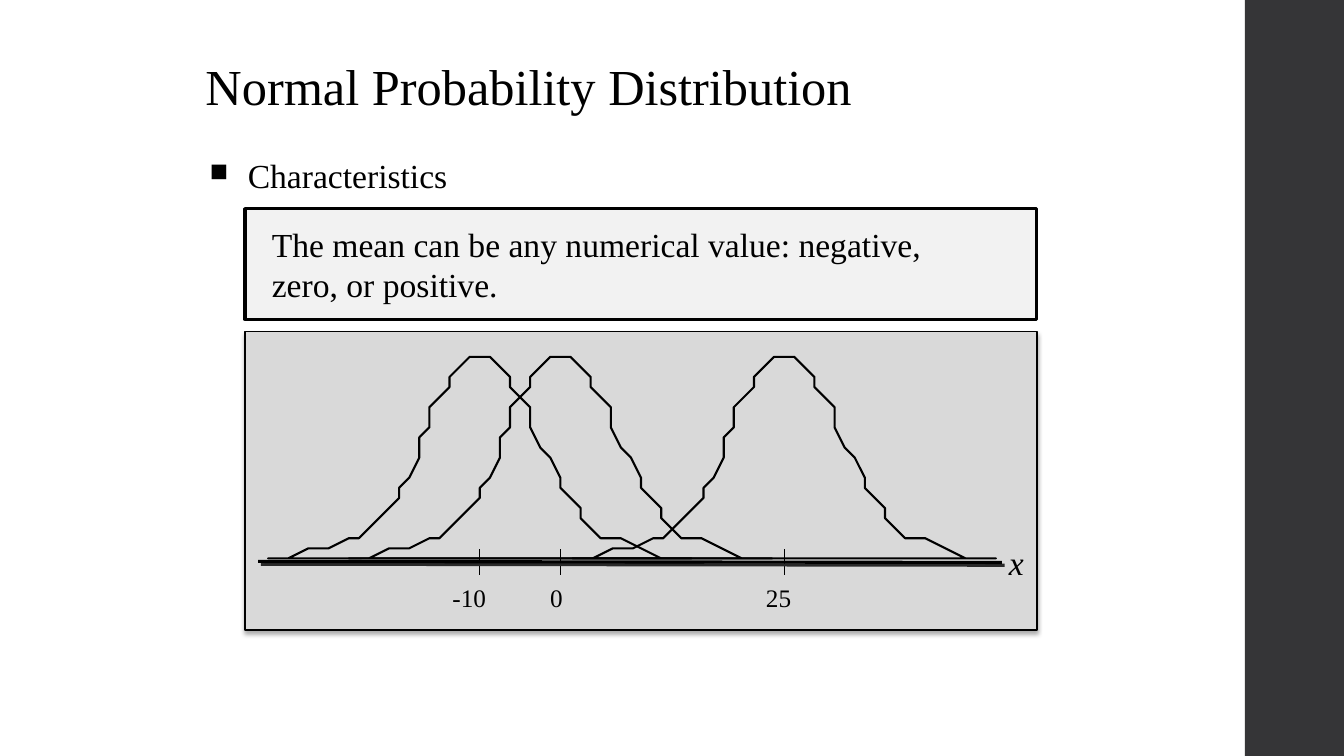
import pptx
import pptx.util
import pptx.dml.color
import pptx.enum.shapes
import pptx.enum.text
import pptx.oxml
import pptx.oxml.ns
from lxml import etree

CELL = pptx.util.Inches(0.1)
COLUMNS, ROWS = 133.33, 75
FONT = "Times New Roman"
BLACK = "000000"

BELL = [
    (0, 0), (-0.8, 0.1), (-1.3, 0.5), (-2.1, 1.2), (-2.7, 1.9), (-3.4, 3.1),
    (-4.1, 4.2), (-4.6, 5.2), (-5.3, 6.9), (-6, 8.3), (-6.5, 9.9), (-7.1, 11.5),
    (-7.8, 13), (-8.3, 14.1), (-8.8, 14.6), (-9.4, 15.4), (-10.2, 16.2),
    (-11.2, 17), (-12, 17.5), (-13.2, 18.1), (-14.6, 18.6), (-16, 19),
    (-17.4, 19.4), (-19, 19.7), (-20.6, 20), (-21, 20.3), (20.6, 20.3),
    (20.3, 20.1), (19.2, 19.8), (17.5, 19.5), (15.6, 19), (13.9, 18.4),
    (12.4, 17.7), (11.4, 17.1), (10.5, 16.3), (9.5, 15.1), (8.7, 14),
    (8.2, 13), (7.6, 11.7), (7, 10.4), (6.2, 8.6), (5.4, 6.9), (4.6, 5.2),
    (3.9, 3.9), (3.2, 2.6), (2.6, 1.8), (2, 1.1), (1.4, 0.5), (0.8, 0.2),
]


def cells(*counts):
    return [round(count * CELL) for count in counts]


def color(value):
    return pptx.dml.color.RGBColor.from_string(value)


def apply(target, formats):
    for name, value in formats.items():
        setattr(target, name, value)


def outline(shape, width):
    shape.line.color.rgb = color(BLACK)
    shape.line.width = pptx.util.Pt(width)


def add_shadow(shape, hue, alpha, blur, distance, angle):
    properties = shape._element.spPr
    for old in properties.findall(pptx.oxml.ns.qn("a:effectLst")):
        properties.remove(old)
    effects = etree.SubElement(properties, pptx.oxml.ns.qn("a:effectLst"))
    if alpha:
        outer = etree.SubElement(
            effects, pptx.oxml.ns.qn("a:outerShdw"),
            blurRad=str(pptx.util.Pt(blur)), dist=str(pptx.util.Pt(distance)),
            dir=str(angle * 60000), algn="ctr", rotWithShape="0")
        tint = etree.SubElement(outer, pptx.oxml.ns.qn("a:srgbClr"), val=hue)
        etree.SubElement(tint, pptx.oxml.ns.qn("a:alpha"), val=str(alpha * 1000))


def add_rectangle(slide, box, fill, line_width=0):
    rectangle = slide.shapes.add_shape(
        pptx.enum.shapes.MSO_SHAPE.RECTANGLE, *cells(*box))
    rectangle.shadow.inherit = False
    rectangle.fill.solid()
    rectangle.fill.fore_color.rgb = color(fill)
    if line_width:
        outline(rectangle, line_width)
    else:
        rectangle.line.fill.background()
    return rectangle


def add_line(slide, start, end, width):
    line = slide.shapes.add_connector(
        pptx.enum.shapes.MSO_CONNECTOR.STRAIGHT, *cells(*start, *end))
    outline(line, width)
    add_shadow(line, BLACK, 0, 0, 0, 0)
    return line


def write(shape, lines, size, wrap=True, inset=1, bullet=None, italic=False):
    frame = shape.text_frame
    apply(frame, {
        "word_wrap": wrap,
        "vertical_anchor": pptx.enum.text.MSO_ANCHOR.MIDDLE,
        "margin_left": cells(inset)[0],
    })
    for index, line in enumerate(lines):
        paragraph = frame.paragraphs[0] if index == 0 else frame.add_paragraph()
        paragraph.alignment = pptx.enum.text.PP_ALIGN.LEFT
        if bullet:
            properties = paragraph._p.get_or_add_pPr()
            indent = cells(3.8)[0]
            properties.set("marL", str(indent))
            properties.set("indent", str(-indent))
            etree.SubElement(properties, pptx.oxml.ns.qn("a:buSzPct"), val="75000")
            etree.SubElement(properties, pptx.oxml.ns.qn("a:buChar"), char=bullet)
        run = paragraph.add_run()
        run.text = line
        apply(run.font, {"name": FONT, "size": pptx.util.Pt(size), "italic": italic})
        run.font.color.rgb = color(BLACK)


def add_text(slide, box, line, size, **options):
    write(slide.shapes.add_textbox(*cells(*box)), [line], size, **options)


def add_sidebar(slide, left):
    add_rectangle(slide, (left, 0, COLUMNS - left, ROWS), "353537")


def add_headings(slide, left, top):
    add_text(slide, (left, top, 85, 7.6), "Normal Probability Distribution", 36)
    add_text(slide, (left + 0.4, top + 10, 39.8, 5.4), "Characteristics", 24,
             bullet="■")


def add_statement(slide, box):
    statement = add_rectangle(slide, box, "F2F2F2", 2.25)
    write(statement, ["The mean can be any numerical value: negative,",
                      "zero, or positive."], 24, inset=2.67)


def add_bell(slide, peak, top):
    builder = slide.shapes.build_freeform(*BELL[0], scale=CELL)
    builder.add_line_segments(BELL[1:], close=True)
    bell = builder.convert_to_shape(*cells(peak, top))
    bell.shadow.inherit = False
    bell.fill.background()
    outline(bell, 1.5)


def add_distributions(slide, box):
    left, top, width, height = box
    panel = add_rectangle(slide, box, "D9D9D9", 1)
    add_shadow(panel, BLACK, 32, 3.5, 2.2, 90)
    axis = top + 22.8
    means = [("-10", 23.3, 3.7, 5.4), ("0", 31.3, 2, 3.3), ("25", 53.5, 2.8, 4.5)]
    for mean, offset, label_shift, label_width in means:
        peak = left + offset
        add_bell(slide, peak, top + 2.5)
        add_line(slide, (peak, axis - 1.2), (peak, axis + 1.3), 1)
        add_text(slide, (peak - label_shift, axis + 1.6, label_width, 4), mean, 18,
                 wrap=False)
    add_text(slide, (left + width - 3.8, axis - 2.4, 3.5, 5), "x", 24,
             wrap=False, italic=True)
    baseline = add_line(slide, (left + 1.3, axis), (left + 75.1, axis + 0.1), 2.25)
    add_shadow(baseline, "292929", 100, 0, 2.8, 45)


def main():
    deck = pptx.Presentation()
    deck.slide_width, deck.slide_height = cells(COLUMNS, ROWS)
    slide = deck.slides.add_slide(deck.slide_layouts[6])
    add_sidebar(slide, 123.5)
    add_headings(slide, 19.4, 4.7)
    add_statement(slide, (24.3, 20.7, 78.5, 11))
    add_distributions(slide, (24.3, 32.9, 78.6, 29.6))
    deck.save("out.pptx")


if __name__ == "__main__":
    main()
